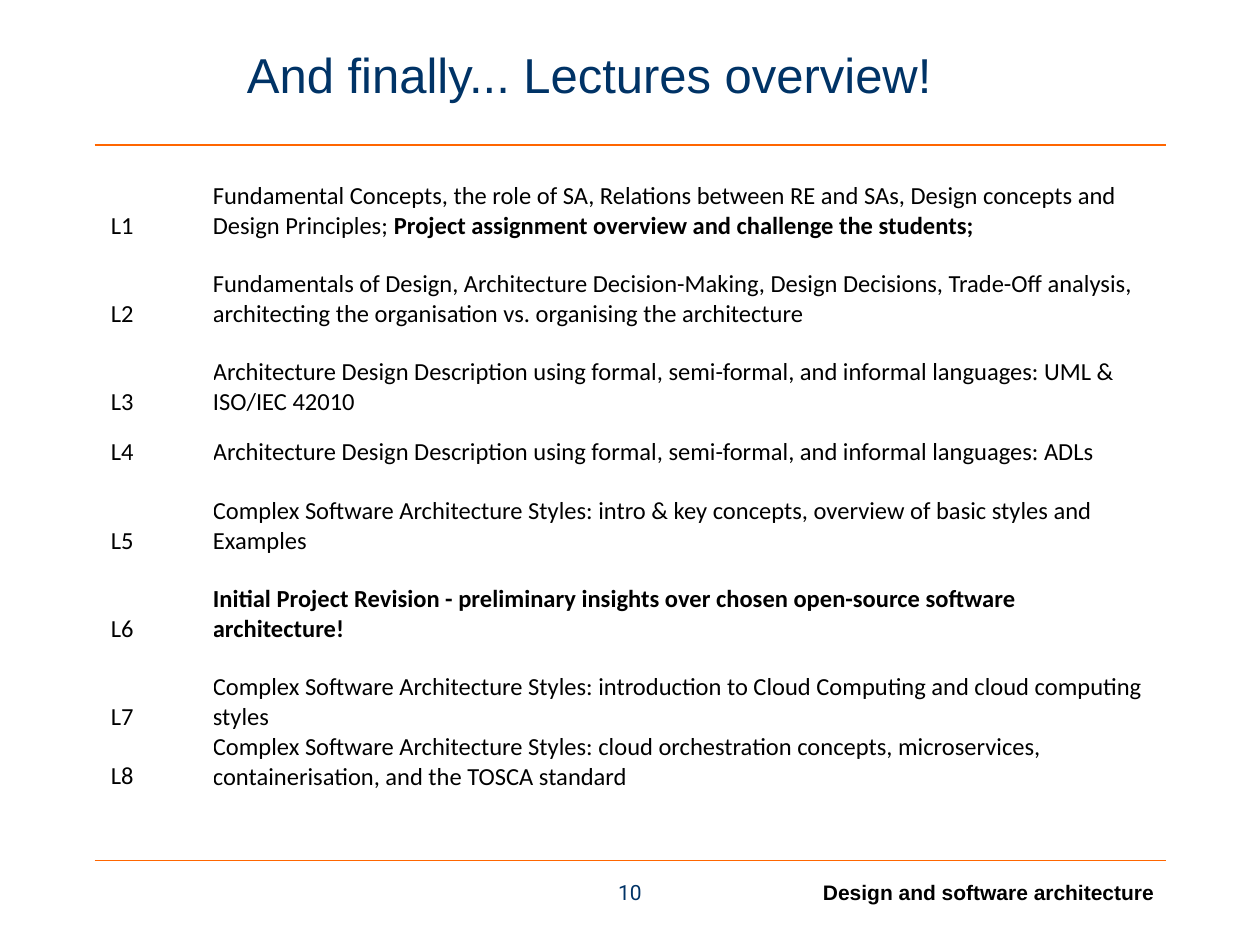
from dataclasses import dataclass

from lxml import etree
from pptx import Presentation
from pptx.dml.color import RGBColor
from pptx.enum.shapes import MSO_CONNECTOR
from pptx.enum.text import MSO_ANCHOR, PP_ALIGN
from pptx.oxml.ns import qn
from pptx.util import Inches, Pt

LEFT, CENTER, RIGHT = PP_ALIGN.LEFT, PP_ALIGN.CENTER, PP_ALIGN.RIGHT
MIDDLE, BOTTOM = MSO_ANCHOR.MIDDLE, MSO_ANCHOR.BOTTOM
STRAIGHT = MSO_CONNECTOR.STRAIGHT
TITLE_ONLY = 5

WIDTH, HEIGHT = Inches(10), Inches(7.5)
COL, ROW = WIDTH / 100, HEIGHT / 75
NAVY, ORANGE, BLACK = "003366", "FF6600", "000000"
TALL, LOW, SHORT = 7, 4.7, 3.7


@dataclass
class Box:
    """A place in grid columns and rows."""
    x: float
    y: float
    w: float
    h: float

    def emu(self) -> tuple:
        return (round(self.x * COL), round(self.y * ROW),
                round(self.w * COL), round(self.h * ROW))


@dataclass
class Lecture:
    text: str
    height: float = TALL
    strong: str = ""


LECTURES = [
    Lecture("Fundamental Concepts, the role of SA, Relations between RE and SAs, "
            "Design concepts and Design Principles; ",
            strong="Project assignment overview and challenge the students;"),
    Lecture("Fundamentals of Design, Architecture Decision-Making, Design Decisions, "
            "Trade-Off analysis, architecting the organisation vs. organising the architecture"),
    Lecture("Architecture Design Description using formal, semi-formal, and informal "
            "languages: UML & ISO/IEC 42010"),
    Lecture("Architecture Design Description using formal, semi-formal, and informal "
            "languages: ADLs", SHORT),
    Lecture("Complex Software Architecture Styles: intro & key concepts, overview of "
            "basic styles and Examples"),
    Lecture("", strong="Initial Project Revision - preliminary insights over chosen "
            "open-source software architecture!"),
    Lecture("Complex Software Architecture Styles: introduction to Cloud Computing and "
            "cloud computing styles"),
    Lecture("Complex Software Architecture Styles: cloud orchestration concepts, "
            "microservices, containerisation, and the TOSCA standard", LOW),
]


def style(para, face: str, size: float, color: str, align=LEFT, bold=False) -> None:
    para.alignment = align
    font = para.font
    font.name, font.size, font.bold = face, Pt(size), bold
    font.color.rgb = RGBColor.from_string(color)


def add_rule(slide, y: float) -> None:
    x, top, w, _ = Box(7.5, y, 85, 0).emu()
    rule = slide.shapes.add_connector(STRAIGHT, x, top, x + w, top)
    rule.line.color.rgb = RGBColor.from_string(ORANGE)
    rule.line.width = Pt(0.75)
    etree.SubElement(rule._element.spPr, qn("a:effectLst"))


def add_label(slide, box: Box, text: str, face: str, color: str, align, bold=False) -> None:
    frame = slide.shapes.add_textbox(*box.emu()).text_frame
    frame.word_wrap = True
    frame.text = text
    style(frame.paragraphs[0], face, 12, color, align, bold)


def fill_cell(cell, text: str, strong: str = "") -> None:
    cell.vertical_anchor = BOTTOM
    cell.margin_left = cell.margin_right = cell.margin_top = cell.margin_bottom = 0
    para = cell.text_frame.paragraphs[0]
    if text:
        para.add_run().text = text
    if strong:
        run = para.add_run()
        run.text = strong
        run.font.bold = True
    style(para, "Calibri", 14, BLACK)


def add_plan(slide, lectures: list[Lecture]) -> None:
    widths = [3.4, 4.7, 74.6]
    box = Box(8.8, 12.1, sum(widths), sum(item.height for item in lectures))
    table = slide.shapes.add_table(len(lectures), len(widths), *box.emu()).table
    table.first_row = table.horz_banding = False
    for column, width in zip(table.columns, widths):
        column.width = round(width * COL)
    for number, (row, item) in enumerate(zip(table.rows, lectures), 1):
        row.height = round(item.height * ROW)
        for cell in row.cells:
            cell.fill.background()
        fill_cell(row.cells[0], f"L{number}")
        fill_cell(row.cells[2], item.text, item.strong)


def add_title(slide, text: str) -> None:
    title = slide.shapes.title
    title.left, title.top, title.width, title.height = Box(18.6, 1.3, 62.1, 9.2).emu()
    frame = title.text_frame
    frame.text = text
    frame.vertical_anchor = MIDDLE
    style(frame.paragraphs[0], "Arial", 28, NAVY)


def main() -> None:
    deck = Presentation()
    deck.slide_width, deck.slide_height = WIDTH, HEIGHT
    slide = deck.slides.add_slide(deck.slide_layouts[TITLE_ONLY])
    for y in (68.3, 11.5):
        add_rule(slide, y)
    add_title(slide, "And finally... Lectures overview!")
    add_label(slide, Box(55.9, 69.3, 36.7, 2.5), "Design and software architecture",
              "Arial", BLACK, RIGHT, True)
    add_label(slide, Box(44.7, 69.3, 10.6, 2.5), "10", "Roboto", NAVY, CENTER)
    add_plan(slide, LECTURES)
    deck.save("out.pptx")


if __name__ == "__main__":
    main()
